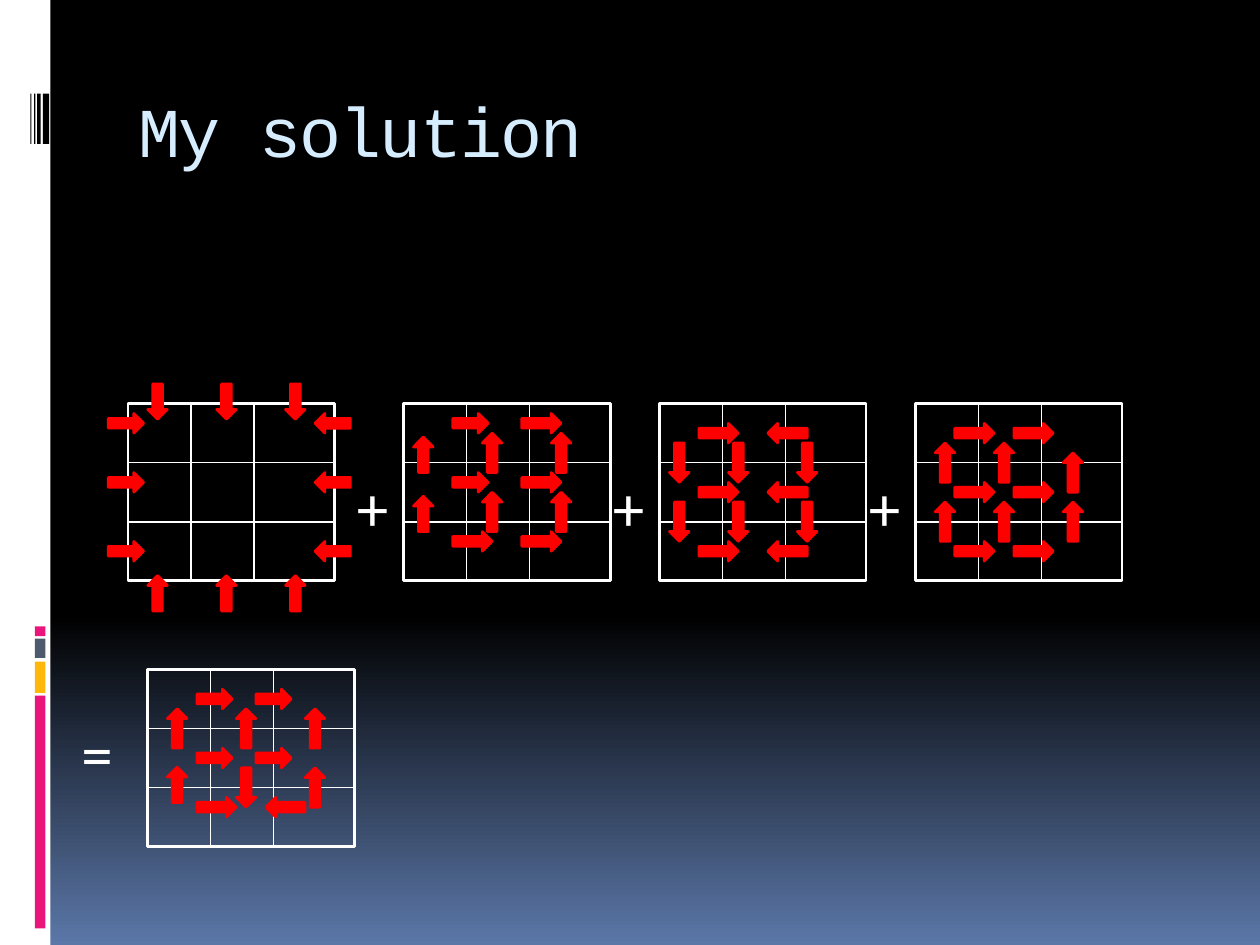
from itertools import product

from lxml.etree import SubElement
from pptx import Presentation
from pptx.dml.color import RGBColor
from pptx.enum.shapes import MSO_CONNECTOR, MSO_SHAPE
from pptx.enum.text import MSO_ANCHOR
from pptx.oxml.ns import qn
from pptx.util import Pt

WHITE = RGBColor(0xFF, 0xFF, 0xFF)
BLACK = RGBColor(0x00, 0x00, 0x00)
RED = RGBColor(0xFF, 0x00, 0x00)
PINK = RGBColor(0xEA, 0x15, 0x7A)
GOLD = RGBColor(0xFE, 0xB8, 0x0A)
SLATE = RGBColor(0x4E, 0x5B, 0x6F)
BLUE = RGBColor(0x5B, 0x77, 0xA8)
PALE = RGBColor(0xD6, 0xEC, 0xFF)

BARS = [
    (0, 0, 28.8, 540, WHITE),
    (20, 397.5, 6, 133, PINK),
    (20, 378, 6, 18, GOLD),
    (20, 365, 6, 11, SLATE),
    (20, 358, 6, 5.5, PINK),
    (24.5, 53.5, 3.6, 28.8, BLACK),
    (21.2, 53.5, 2, 28.8, BLACK),
    (19.5, 53.5, 0.8, 28.8, BLACK),
    (17.4, 53.5, 0.6, 28.8, BLACK),
]

GRIDS = [(73.12, 230.62), (230.62, 230.62), (376.88, 230.62),
         (523.12, 230.62), (84.38, 382.5)]
WIDE, HIGH = 118.12, 101.25
COL, ROW = 36, 33.75

SIGNS = [("=", 39.38, 405), ("+", 196.88, 264.38),
         ("+", 343.12, 264.38), ("+", 489.38, 264.38)]
SIGN = {"name": "Calibri", "size": Pt(36)}
TITLE = {"name": "Courier New", "size": Pt(40)}

# Turn of a right arrow, and the two arrow lengths
RIGHT, DOWN, LEFT, UP = 0, 90, 180, 270
SHORT, LONG, THICK = 20.25, 22.5, 11.25

SIDES = [236.25, 270, 309.38]
ENDS = [79.88, 119.25, 158.62]
LEVELS = [241.88, 275.62, 309.38]
STEPS = [258.75, 292.5]

# Turn, length, left edges, top edges: one arrow for each pair of edges
ARROWS = [
    # Edges point inward
    (RIGHT, SHORT, [61.88], SIDES),
    (DOWN, SHORT, ENDS, [223.88]),
    (UP, SHORT, ENDS, [333.38]),
    (LEFT, SHORT, [180], SIDES),
    # Second grid
    (UP, SHORT, [231.75], [254.25, 288]),
    (UP, LONG, [270, 309.38], [253.12, 286.88]),
    (RIGHT, SHORT, [258.75], [236.25, 270]),
    (RIGHT, LONG, [258.75], [303.75]),
    (RIGHT, LONG, [298.12], [236.25, 270, 303.75]),
    # Third grid
    (LEFT, LONG, [438.75], LEVELS),
    (RIGHT, LONG, [399.38], LEVELS),
    (DOWN, LONG, [376.88, 410.62, 450], STEPS),
    # Fourth grid
    (RIGHT, LONG, [545.62, 579.38], LEVELS),
    (UP, LONG, [528.75, 562.5], STEPS),
    (UP, LONG, [601.88], [264.38, 292.5]),
    # Sum
    (UP, LONG, [90, 129.38, 168.75], [410.62]),
    (RIGHT, SHORT, [112.5, 146.25], [393.75, 427.5]),
    (UP, SHORT, [91.12], [442.88]),
    (DOWN, LONG, [129.38], [444.38]),
    (UP, LONG, [168.75], [444.38]),
    (RIGHT, LONG, [112.5], [455.62]),
    (LEFT, LONG, [151.88], [455.62]),
]


def add_ground(slide):
    """Black down to 65 %, then fading to blue."""
    fill = slide.background.fill
    fill.gradient()
    fill.gradient_angle = 270
    for stop, color, place in zip(fill.gradient_stops, (BLACK, BLUE), (0.65, 1)):
        stop.color.rgb = color
        stop.position = place


def add_form(shapes, kind, box, fill=None, line=None):
    form = shapes.add_shape(kind, *map(Pt, box))
    form.shadow.inherit = False
    if fill is None:
        form.fill.background()
    else:
        form.fill.solid()
        form.fill.fore_color.rgb = fill
    if line is None:
        form.line.fill.background()
    else:
        form.line.color.rgb = line
        form.line.width = Pt(1.5)
    return form


def add_rule(shapes, *ends):
    rule = shapes.add_connector(MSO_CONNECTOR.STRAIGHT, *map(Pt, ends))
    rule.line.color.rgb = WHITE
    rule.line.width = Pt(0.94)
    SubElement(rule._element.spPr, qn("a:effectLst"))


def add_grid(slide, left, top):
    shapes = slide.shapes.add_group_shape().shapes
    add_form(shapes, MSO_SHAPE.RECTANGLE, (left, top, WIDE, HIGH), line=WHITE)
    for i in (1, 2):
        y, x = top + i * ROW, left + i * COL
        add_rule(shapes, left, y, left + WIDE, y)
        add_rule(shapes, x, top, x, top + HIGH)


def add_arrow(slide, turn, size, left, top):
    arrow = add_form(slide.shapes, MSO_SHAPE.RIGHT_ARROW,
                     (left, top, size, THICK), RED, RED)
    arrow.rotation = turn


def add_text(slide, text, box, form, color):
    frame = slide.shapes.add_textbox(*map(Pt, box)).text_frame
    frame.word_wrap = True
    run = frame.paragraphs[0].add_run()
    run.text = text
    for name, value in form.items():
        setattr(run.font, name, value)
    run.font.color.rgb = color
    return frame


def add_title(slide):
    frame = add_text(slide, "My solution", (72, 40.5, 612, 72), TITLE, PALE)
    frame.vertical_anchor = MSO_ANCHOR.MIDDLE
    frame.margin_bottom = Pt(8.4)
    frame.paragraphs[0].runs[0].font._element.set("spc", "-100")


def main():
    deck = Presentation()
    deck.slide_width, deck.slide_height = Pt(720), Pt(540)
    slide = deck.slides.add_slide(deck.slide_layouts[6])
    add_ground(slide)
    for *box, color in BARS:
        add_form(slide.shapes, MSO_SHAPE.RECTANGLE, box, color)
    add_title(slide)
    for left, top in GRIDS:
        add_grid(slide, left, top)
    for text, left, top in SIGNS:
        add_text(slide, text, (left, top, 39.38, 51), SIGN, WHITE)
    for turn, size, lefts, tops in ARROWS:
        for left, top in product(lefts, tops):
            add_arrow(slide, turn, size, left, top)
    deck.save("out.pptx")


if __name__ == "__main__":
    main()
